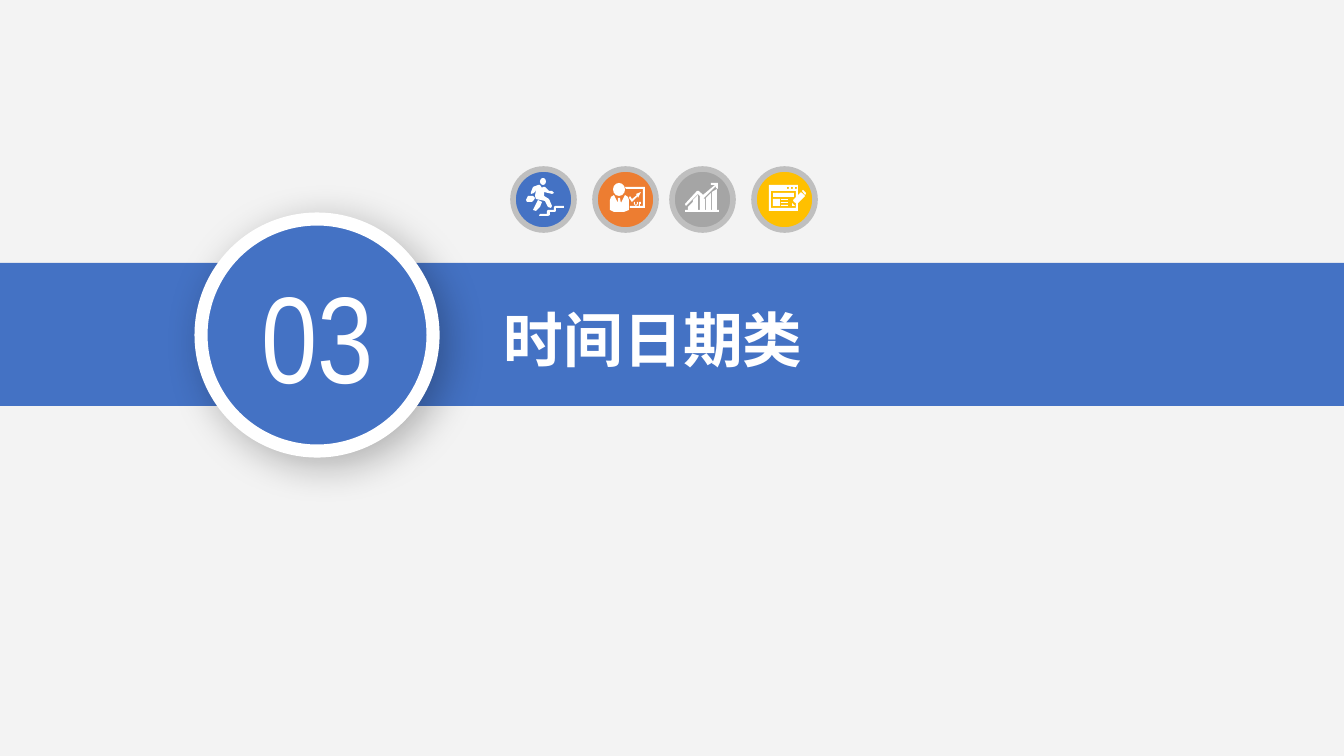
from lxml import etree
from pptx import Presentation
from pptx.dml.color import RGBColor
from pptx.enum.shapes import MSO_SHAPE
from pptx.enum.text import MSO_AUTO_SIZE, PP_ALIGN
from pptx.oxml import parse_xml
from pptx.oxml.ns import qn
from pptx.util import Pt

RECT, OVAL = MSO_SHAPE.RECTANGLE, MSO_SHAPE.OVAL
LEFT, MID = PP_ALIGN.LEFT, PP_ALIGN.CENTER
GROW = MSO_AUTO_SIZE.SHAPE_TO_FIT_TEXT
PX = 914400 / 134.4
INK = {
    "back": "F3F3F3", "blue": "4472C4", "orange": "ED7D31",
    "gray": "A5A5A5", "gold": "FFC000", "ring": "BFBFBF", "white": "FFFFFF",
}

deck = Presentation()
deck.slide_width, deck.slide_height = round(1344 * PX), round(756 * PX)
slide = deck.slides.add_slide(deck.slide_layouts[6])
slide.background.fill.solid()
slide.background.fill.fore_color.rgb = RGBColor.from_string(INK["back"])


def draw(kind, data, fill, line=None, width=0):
    if kind is None:
        first, *rest = data
        pen = slide.shapes.build_freeform(*first[0], scale=PX)
        pen.add_line_segments(first[1:])
        for loop in rest:
            pen.move_to(*loop[0])
            pen.add_line_segments(loop[1:])
        shape = pen.convert_to_shape()
    else:
        shape = slide.shapes.add_shape(kind, *[round(n * PX) for n in data])
    shape.shadow.inherit = False
    shape.fill.solid()
    shape.fill.fore_color.rgb = RGBColor.from_string(INK[fill])
    if line:
        shape.line.color.rgb = RGBColor.from_string(INK[line])
        shape.line.width = Pt(width)
    else:
        shape.line.fill.background()
    return shape


def write(text, box, font, size, bold=False, align=LEFT, inset=(13, 7)):
    frame = slide.shapes.add_textbox(*[round(n * PX) for n in box]).text_frame
    frame.word_wrap = True
    frame.auto_size = GROW
    frame.margin_left = frame.margin_right = round(inset[0] * PX)
    frame.margin_top = frame.margin_bottom = round(inset[1] * PX)
    para = frame.paragraphs[0]
    para.alignment = align
    run = para.add_run()
    run.text = text
    run.font.name, run.font.size, run.font.bold = font, Pt(size), bold
    run.font.color.rgb = RGBColor.from_string(INK["white"])
    etree.SubElement(run.font._element, qn("a:ea")).set("typeface", font)


draw(RECT, (0, 263, 1344, 143), "blue")
write("时间日期类", (491, 296, 530, 86), "Noto Sans CJK SC", 32, bold=True)

for left, tint in ((513, "blue"), (595, "orange"), (672, "gray"), (754, "gold")):
    draw(OVAL, (left, 169, 61, 61), tint, "ring", 3)

stairs = [(540, 214), (547, 214), (547, 211), (548, 210), (554, 210), (554, 207),
          (555, 206), (564, 206), (564, 208), (556, 208), (556, 211), (555, 212),
          (550, 212), (550, 215), (548, 216), (539, 216)]
case = [(527, 202), (532, 202), (534, 200), (535, 198), (533, 196), (528, 196), (526, 200)]
leg = [(533, 210), (538, 200), (542, 202), (540, 207), (536, 211)]
body = [(543, 187), (545, 187), (549, 191), (552, 191), (554, 193), (552, 194),
        (544, 192), (544, 196), (549, 199), (552, 206), (551, 208), (548, 207),
        (545, 201), (536, 199), (535, 196), (536, 190), (534, 193), (531, 194),
        (531, 192), (533, 187), (538, 185), (540, 185), (542, 188)]
board = [(625, 187), (645, 187), (645, 208), (630, 208), (630, 206), (643, 206),
         (643, 189), (626, 189)]
trend = [(630, 196), (629, 198), (632, 202), (638, 196), (638, 198), (641, 192),
         (636, 194), (637, 195), (632, 199)]
suit = [(625, 195), (621, 203), (620, 198), (618, 198), (618, 203), (614, 195),
        (611, 197), (610, 200), (610, 210), (614, 212), (624, 212), (629, 210),
        (629, 200), (628, 197)]
cup = [(634, 202), (634, 204), (636, 206), (638, 204), (638, 202), (637, 202),
       (637, 204), (636, 205), (635, 204), (635, 202)]
flag = [(639, 202), (639, 206), (640, 206), (640, 204), (641, 204), (641, 202)]
rise = [(686, 206), (698, 194), (702, 198), (704, 198), (716, 186), (716, 188),
        (718, 189), (718, 183), (711, 183), (711, 185), (715, 185), (703, 195),
        (699, 191), (697, 191), (685, 204)]
page = [(769, 185), (798, 185), (798, 211), (769, 211)]
pane = [(771, 191), (771, 208), (796, 208), (796, 191)]
dots = [[(x, 187), (x, 189), (x + 2, 189), (x + 2, 187)] for x in (787, 791, 795)]
tip = [(792, 203), (792, 206), (795, 206)]
end = [(805, 195), (806, 194), (806, 193), (803, 190), (802, 191)]
pen = [(801, 192), (793, 200), (794, 202), (796, 203), (797, 204), (805, 196)]
bars = [[(x, 210), (x + 5, 210), (x + 5, right), (x, left)]
        for x, left, right in ((688, 207, 202), (693, 200, 195), (700, 196, 199),
                               (706, 198, 193), (712, 192, 189))]

for loops in ([stairs], [case, leg, body], [board], [trend], [suit], [cup], [flag],
              [rise], [page, pane, *dots], [tip], [end], [pen],
              *[[bar] for bar in bars]):
    draw(None, loops, "white")
for head in ((540, 178, 6, 7), (613, 183, 12, 13)):
    draw(OVAL, head, "white")
for block in ((685, 210, 34, 2), (773, 193, 21, 4), (773, 199, 7, 7),
              *[(781, y, 7, 1) for y in (199, 202, 205)]):
    draw(RECT, block, "white")

disc = draw(OVAL, (201, 219, 232, 232), "blue", "white", 7)
props = disc._element.spPr
props.remove(props.find(qn("a:effectLst")))
props.append(parse_xml(
    '<a:effectLst xmlns:a="http://schemas.openxmlformats.org/drawingml/2006/main">'
    f'<a:outerShdw blurRad="{Pt(22)}" dist="{Pt(6)}" dir="2700000" algn="tl" rotWithShape="0">'
    '<a:srgbClr val="000000"><a:alpha val="28000"/></a:srgbClr>'
    '</a:outerShdw></a:effectLst>'))
write("03", (230, 255, 176, 160), "Arial Narrow", 66, align=MID, inset=(9, 5))

deck.save("out.pptx")
